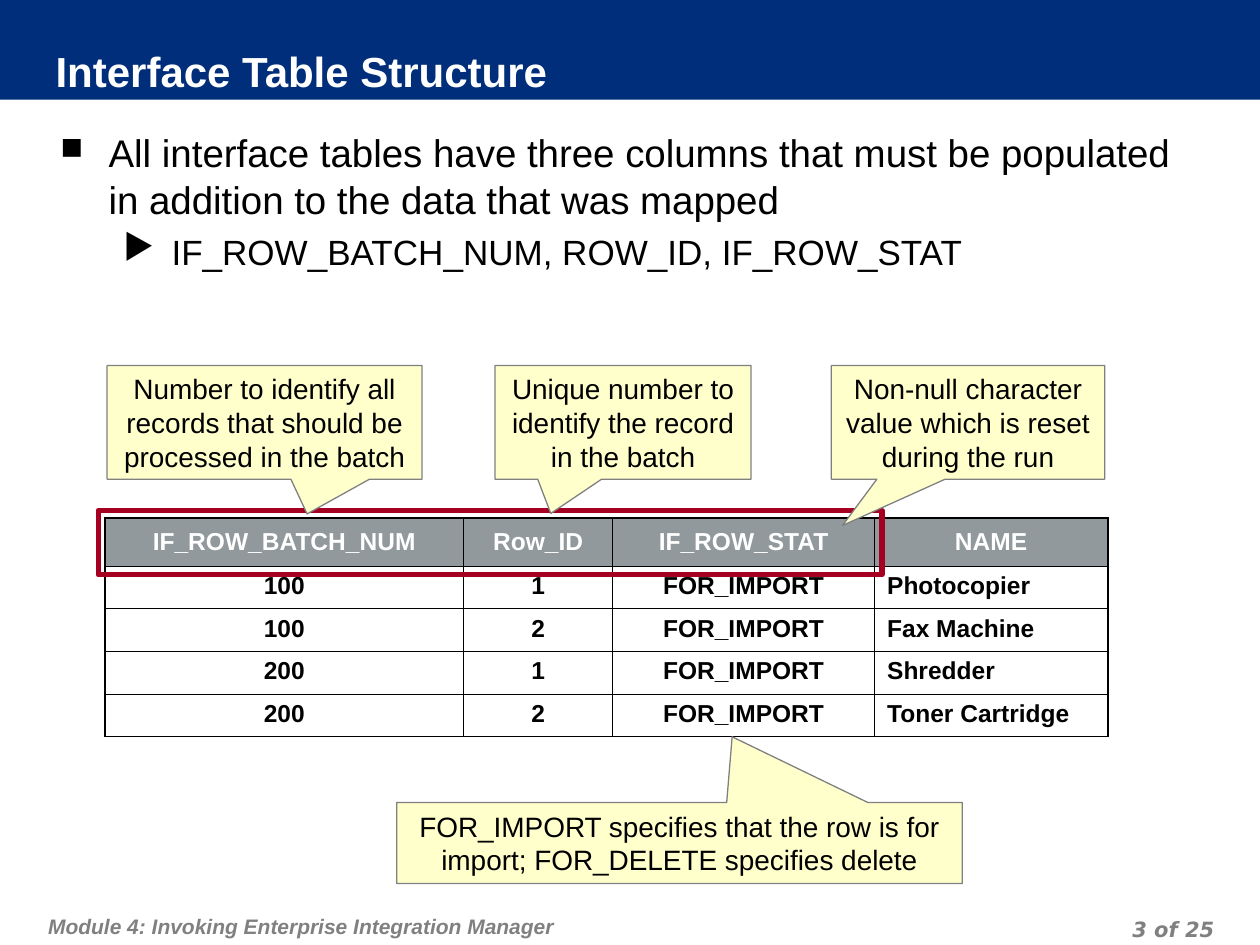
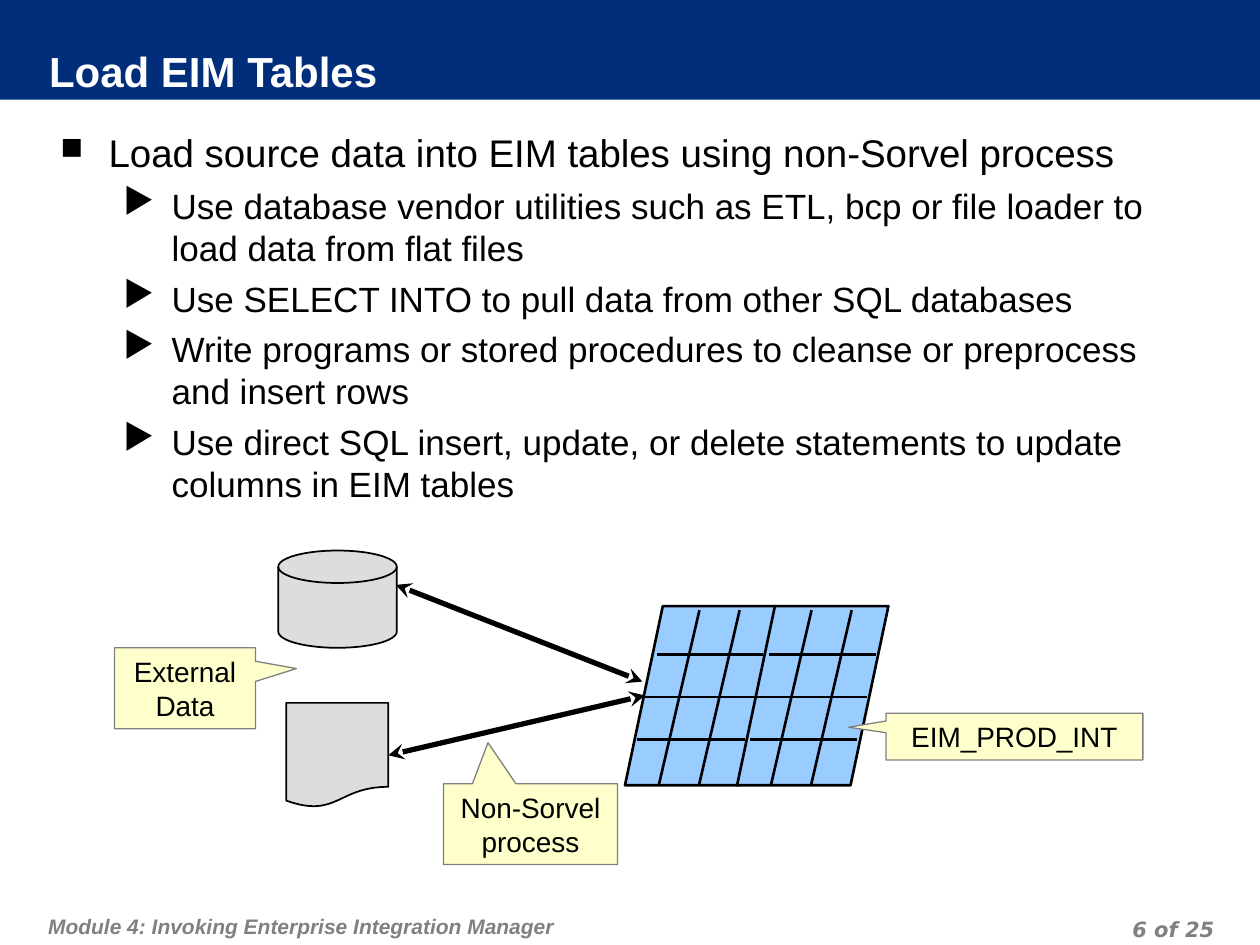
from dataclasses import dataclass

from lxml.etree import SubElement
from pptx import Presentation
from pptx.dml.color import RGBColor
from pptx.enum.dml import MSO_FILL
from pptx.enum.shapes import MSO_CONNECTOR, MSO_SHAPE
from pptx.enum.text import MSO_ANCHOR, MSO_AUTO_SIZE, PP_ALIGN
from pptx.oxml.ns import qn
from pptx.util import Cm, Pt


@dataclass(frozen=True)
class Theme:
    navy: str = "002E7A"
    white: str = "FFFFFF"
    black: str = "000000"
    grey: str = "808080"
    header: str = "92999D"
    note: str = "FFFFCC"
    accent: str = "A50021"
    sheet: str = "99CCFF"
    store: str = "DDDDDD"
    font: str = "Arial"
    number_font: str = "DejaVu Sans"
    title_size: int = 24
    bullet_size: int = 22
    detail_size: int = 20
    note_size: int = 16
    cell_size: int = 14
    footer_size: int = 12


THEME = Theme()
MODULE = "Module 4: Invoking Enterprise Integration Manager"
PAGE_COUNT = 25
INSETS = (0.25, 0.13, 0.25, 0.13)

STRUCTURE = {
    "title": "Interface Table Structure", "number": 3, "title_inset": 0.13,
    "bullet": "All interface tables have three columns that must be populated "
              "in addition to the data that was mapped",
    "details": ["IF_ROW_BATCH_NUM, ROW_ID, IF_ROW_STAT"],
}
LOADING = {
    "title": "Load EIM Tables", "number": 6, "title_inset": 0,
    "bullet": "Load source data into EIM tables using non-Sorvel process",
    "details": [
        "Use database vendor utilities such as ETL, bcp or file loader to load data from flat files",
        "Use SELECT INTO to pull data from other SQL databases",
        "Write programs or stored procedures to cleanse or preprocess and insert rows",
        "Use direct SQL insert, update, or delete statements to update columns in EIM tables",
    ],
}

TABLE_ROWS = [
    ("IF_ROW_BATCH_NUM", "Row_ID", "IF_ROW_STAT", "NAME"),
    ("100", "1", "FOR_IMPORT", "Photocopier"),
    ("100", "2", "FOR_IMPORT", "Fax Machine"),
    ("200", "1", "FOR_IMPORT", "Shredder"),
    ("200", "2", "FOR_IMPORT", "Toner Cartridge"),
]
COLUMN_WIDTHS = (7.24, 3.0, 5.28, 4.7)
HEADER_HEIGHT, ROW_HEIGHT = 0.97, 0.86

IMPORT_NOTE = ("FOR_IMPORT specifies that the row is for import; FOR_DELETE specifies delete",
               (8, 16.18, 11.4, 1.63), (0.093, -1.314))
COLUMN_NOTES = [
    ("Number to identify all records that should be processed in the batch",
     (2.16, 7.37, 6.35, 2.29), (0.135, 0.806)),
    ("Unique number to identify the record in the batch",
     (9.98, 7.37, 5.16, 2.29), (-0.282, 0.802)),
    ("Non-null character value which is reset during the run",
     (16.76, 7.37, 5.51, 2.29), (-0.459, 0.908)),
]
FLOW_NOTES = [
    ("EIM_PROD_INT", (17.86, 14.38, 5.18, 0.94), (-0.645, -0.201)),
    ("External Data", (2.31, 13.06, 2.84, 1.63), (0.791, -0.243)),
    ("Non-Sorvel process", (8.94, 15.8, 3.51, 1.63), (-0.244, -1.008)),
]

SHEET_LEFT, SHEET_TOP, SHEET_WIDTH, SHEET_HEIGHT = 12.6, 12.22, 3.05, 3.61
SHEET_STEP, SHEET_SLANT = 2.26, 0.82
SLANT_STARTS = (1.5, 2.31)
RUNGS = [(0.97, 0.64, 2.79), (1.83, 0.41, 2.62), (2.69, 0.25, 2.41)]


def color(value):
    return RGBColor.from_string(value)


def apply(target, values):
    for name, value in values.items():
        setattr(target, name, value)


def place(shape, area):
    apply(shape, dict(zip(("left", "top", "width", "height"), map(Cm, area))))


def set_frame(frame, insets=INSETS, anchor=MSO_ANCHOR.TOP):
    sides = ("margin_left", "margin_top", "margin_right", "margin_bottom")
    apply(frame, dict(zip(sides, map(Cm, insets))))
    apply(frame, {"word_wrap": True, "auto_size": MSO_AUTO_SIZE.NONE, "vertical_anchor": anchor})


def write(para, text, size, ink=THEME.black, align=PP_ALIGN.LEFT, **styles):
    para.alignment = align
    span = para.add_run()
    span.text = text
    apply(span.font, {"name": THEME.font, "size": Pt(size), **styles})
    span.font.color.rgb = color(ink)


def add_box(page, kind, area, fill=None, line=None, weight=1):
    box = page.shapes.add_shape(kind, *map(Cm, area))
    box.shadow.inherit = False
    for paint, value in ((box.fill, fill), (box.line.fill, line)):
        if value:
            paint.solid()
            paint.fore_color.rgb = color(value)
        else:
            paint.background()
    if line:
        box.line.width = Pt(weight)
    return box


def add_text(page, area, insets):
    frame = page.shapes.add_textbox(*map(Cm, area)).text_frame
    set_frame(frame, insets)
    return frame


def add_note(page, text, area, tip):
    box = add_box(page, MSO_SHAPE.RECTANGULAR_CALLOUT, area, THEME.note, THEME.grey, 0.75)
    box.adjustments[0], box.adjustments[1] = tip
    set_frame(box.text_frame, anchor=MSO_ANCHOR.MIDDLE)
    write(box.text_frame.paragraphs[0], text, THEME.note_size, align=PP_ALIGN.CENTER)


def add_line(page, start, end, weight=1.5, arrows=False):
    line = page.shapes.add_connector(MSO_CONNECTOR.STRAIGHT, *map(Cm, start + end))
    line.line.width = Pt(weight)
    line.line.color.rgb = color(THEME.black)
    if arrows:
        for tag in ("a:headEnd", "a:tailEnd"):
            SubElement(line.line._get_or_add_ln(), qn(tag), type="stealth")
    SubElement(line._element.spPr, qn("a:effectLst"))
    return line


def add_bullet(para, level):
    symbol, margin, percent = (("■", 0.97, "80000"), ("▶", 2.24, "100000"))[level]
    para.level = level
    props = para._p.get_or_add_pPr()
    props.set("marL", str(Cm(margin)))
    props.set("indent", str(-Cm(0.97)))
    SubElement(SubElement(props, qn("a:buClr")), qn("a:srgbClr"), val=THEME.black)
    SubElement(props, qn("a:buSzPct"), val=percent)
    SubElement(props, qn("a:buChar"), char=symbol)


def add_page(deck, content):
    page = deck.slides.add_slide(deck.slide_layouts[5])
    band = add_box(page, MSO_SHAPE.RECTANGLE, (0, 0, 25.4, 2.01), THEME.navy)
    page.shapes._spTree.insert(2, band._element)

    title = page.shapes.title
    place(title, (0.99, 0.97, 23.29, 1.02))
    title.fill.solid()
    title.fill.fore_color.rgb = color(THEME.navy)
    set_frame(title.text_frame, (content["title_inset"], 0, 0.13, 0.13), MSO_ANCHOR.MIDDLE)
    write(title.text_frame.paragraphs[0], content["title"], THEME.title_size, THEME.white, bold=True)

    footers = [
        (MODULE, (0.84, 18.03, 15.7, 1.02), 0.25, PP_ALIGN.LEFT, THEME.font),
        (f"{content['number']} of {PAGE_COUNT}", (18.69, 18.34, 5.92, 0.64), 0,
         PP_ALIGN.RIGHT, THEME.number_font),
    ]
    for text, area, top_inset, align, font in footers:
        para = add_text(page, area, (0.13, top_inset, 0.13, 0)).paragraphs[0]
        para.line_spacing = Pt(18)
        write(para, text, THEME.footer_size, THEME.grey, align, name=font, bold=True, italic=True)

    frame = add_text(page, (0.97, 2.36, 23.24, 15.7), (0.25, 0.25, 0.25, 0.13))
    add_bullet(frame.paragraphs[0], 0)
    write(frame.paragraphs[0], content["bullet"], THEME.bullet_size)
    for detail in content["details"]:
        para = frame.add_paragraph()
        add_bullet(para, 1)
        para.space_before = Pt(5)
        write(para, detail, THEME.detail_size)
    return page


def set_borders(cell, outer):
    props = cell._tc.get_or_add_tcPr()
    for index, side in enumerate("LRTB"):
        width = Pt(1.08 if outer[side] else 0.45)
        line = SubElement(props, qn(f"a:ln{side}"), w=str(width))
        SubElement(SubElement(line, qn("a:solidFill")), qn("a:srgbClr"), val=THEME.black)
        props.insert(index, line)


def add_interface_table(page):
    last_row, last_column = len(TABLE_ROWS) - 1, len(COLUMN_WIDTHS) - 1
    heights = [HEADER_HEIGHT] + [ROW_HEIGHT] * last_row
    area = (2.11, 10.44, sum(COLUMN_WIDTHS), sum(heights))
    table = page.shapes.add_table(len(heights), len(COLUMN_WIDTHS), *map(Cm, area)).table
    apply(table, {"first_row": False, "horz_banding": False})
    for column, width in zip(table.columns, COLUMN_WIDTHS):
        column.width = Cm(width)
    for row_index, values in enumerate(TABLE_ROWS):
        table.rows[row_index].height = Cm(heights[row_index])
        is_header = row_index == 0
        for column_index, text in enumerate(values):
            cell = table.cell(row_index, column_index)
            cell.vertical_anchor = MSO_ANCHOR.MIDDLE if is_header else MSO_ANCHOR.TOP
            cell.fill.solid()
            cell.fill.fore_color.rgb = color(THEME.header if is_header else THEME.white)
            is_name = column_index == last_column and not is_header
            write(cell.text_frame.paragraphs[0], text, THEME.cell_size,
                  THEME.white if is_header else THEME.black,
                  PP_ALIGN.LEFT if is_name else PP_ALIGN.CENTER, bold=True)
            set_borders(cell, {"L": column_index == 0, "R": column_index == last_column,
                               "T": is_header, "B": row_index == last_row})


def add_sheet(page, left):
    sheet = add_box(page, MSO_SHAPE.PARALLELOGRAM, (left, SHEET_TOP, SHEET_WIDTH, SHEET_HEIGHT),
                    THEME.sheet, THEME.black, 1.5)
    sheet.adjustments[0] = 0.25
    for start in SLANT_STARTS:
        add_line(page, (left + start, SHEET_TOP + 0.08),
                 (left + start - SHEET_SLANT, SHEET_TOP + SHEET_HEIGHT))
    for depth, start, end in RUNGS:
        add_line(page, (left + start, SHEET_TOP + depth), (left + end, SHEET_TOP + depth))


def build_structure(deck):
    page = add_page(deck, STRUCTURE)
    add_interface_table(page)
    add_note(page, *IMPORT_NOTE)
    add_box(page, MSO_SHAPE.RECTANGLE, (1.98, 10.29, 15.8, 1.3), line=THEME.accent, weight=3)
    for note in COLUMN_NOTES:
        add_note(page, *note)


def build_loading(deck):
    page = add_page(deck, LOADING)
    for half in range(2):
        add_sheet(page, SHEET_LEFT + half * SHEET_STEP)
    document = add_box(page, MSO_SHAPE.FLOWCHART_DOCUMENT, (5.77, 14.17, 2.06, 2.11),
                       THEME.store, THEME.black)
    add_box(page, MSO_SHAPE.FLOWCHART_MAGNETIC_DISK, (5.61, 11.1, 2.39, 1.96),
            THEME.store, THEME.black)
    add_line(page, (7.98, 11.79), (12.95, 13.74), 3, arrows=True)
    document_arrow = add_line(page, (7.83, 15.23), (13, 14.02), 3, arrows=True)
    document_arrow.begin_connect(document, 3)
    for note in FLOW_NOTES:
        add_note(page, *note)


def main():
    deck = Presentation()
    apply(deck, {"slide_width": Cm(25.4), "slide_height": Cm(19.05)})
    build_structure(deck)
    build_loading(deck)
    deck.save("out.pptx")


if __name__ == "__main__":
    main()
